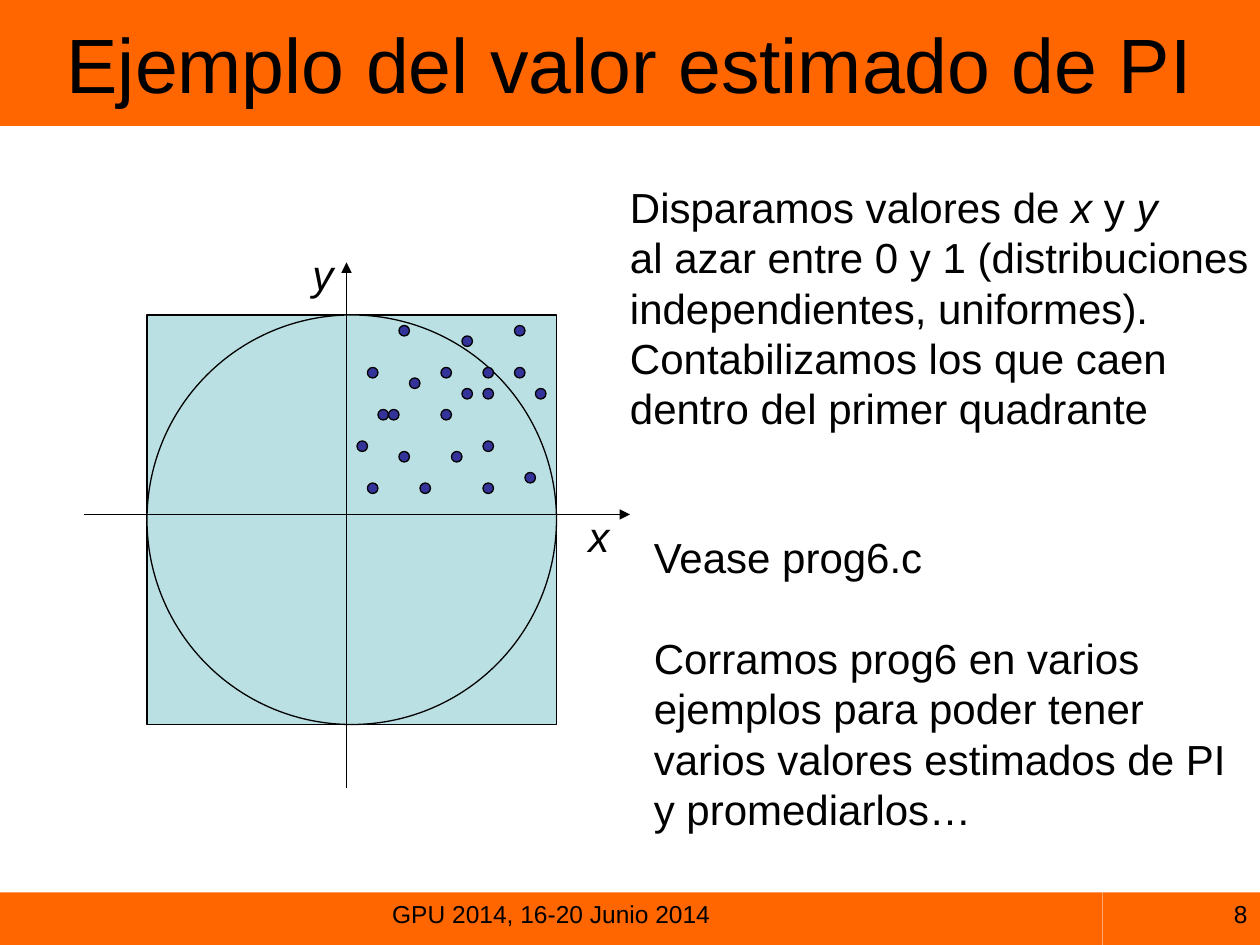
from lxml import etree
from pptx import Presentation
from pptx.dml.color import RGBColor
from pptx.enum import shapes, text
from pptx.oxml import ns
from pptx.util import Cm, Pt

ORANGE = RGBColor(0xFF, 0x66, 0x00)
BLACK = RGBColor(0x00, 0x00, 0x00)
AQUA = RGBColor(0xBB, 0xE0, 0xE3)
INDIGO = RGBColor(0x33, 0x33, 0x99)

FONT = "Arial"
BODY_LINE = Pt(28.8)
GRID_STEP = 2.54 / 12

SQUARE = (14, 30, 39, 39)
Y_AXIS = (33, 75, 33, 25)
X_AXIS = (8, 49, 60, 49)
SHOTS = [
    (40, 46), (42, 35), (51, 37), (44, 32), (44, 37), (36, 39), (46, 35), (37, 39),
    (38, 31), (46, 42), (50, 45), (35, 35), (34, 42), (46, 46), (38, 43), (35, 46),
    (49, 31), (49, 35), (42, 39), (43, 43), (39, 36), (46, 37),
]


def on_grid(*steps):
    return [Cm(step * GRID_STEP) for step in steps]


def in_cm(*lengths):
    return [Cm(length) for length in lengths]


def style_span(span, size, italic=False):
    span.font.name = FONT
    span.font.size = Pt(size)
    span.font.italic = italic
    span.font.color.rgb = BLACK


def fill_title(page, wording):
    title = page.shapes.title
    title.left, title.top, title.width, title.height = on_grid(0, 0, 120, 12)
    title.fill.solid()
    title.fill.fore_color.rgb = ORANGE
    frame = title.text_frame
    frame.text = wording
    frame.vertical_anchor = text.MSO_ANCHOR.MIDDLE
    frame.paragraphs[0].alignment = text.PP_ALIGN.CENTER
    style_span(frame.paragraphs[0].runs[0], 44)


def add_figure(page, kind, place, color, outlined=True):
    figure = page.shapes.add_shape(kind, *on_grid(*place))
    figure.shadow.inherit = False
    figure.fill.solid()
    figure.fill.fore_color.rgb = color
    if outlined:
        figure.line.color.rgb = BLACK
        figure.line.width = Pt(0.75)
    else:
        figure.line.fill.background()
    return figure


def add_footer(page, place, wording, alignment):
    band = add_figure(page, shapes.MSO_SHAPE.RECTANGLE, place, ORANGE, outlined=False)
    frame = band.text_frame
    frame.text = wording
    frame.vertical_anchor = text.MSO_ANCHOR.TOP
    frame.paragraphs[0].alignment = alignment
    style_span(frame.paragraphs[0].runs[0], 14)


def add_axis(page, ends):
    axis = page.shapes.add_connector(shapes.MSO_CONNECTOR.STRAIGHT, *on_grid(*ends))
    axis.line.color.rgb = BLACK
    axis.line.width = Pt(0.75)
    etree.SubElement(axis.line._get_or_add_ln(), ns.qn("a:tailEnd"), type="triangle")
    etree.SubElement(axis._element.spPr, ns.qn("a:effectLst"))


def add_text(page, place, paragraphs):
    box = page.shapes.add_textbox(*in_cm(*place))
    frame = box.text_frame
    frame.word_wrap = False
    for index, (gap, pieces) in enumerate(paragraphs):
        para = frame.paragraphs[0] if index == 0 else frame.add_paragraph()
        para.line_spacing = BODY_LINE
        para.space_before = gap
        for wording, italic in pieces:
            for number, line in enumerate(wording.split("\n")):
                if number:
                    para.add_line_break()
                if line:
                    span = para.add_run()
                    span.text = line
                    style_span(span, 24, italic)


def main():
    deck = Presentation()
    deck.slide_width, deck.slide_height = in_cm(25.4, 19.05)
    page = deck.slides.add_slide(deck.slide_layouts[5])

    add_footer(page, (0, 85, 105, 5), "GPU 2014, 16-20 Junio 2014", text.PP_ALIGN.CENTER)
    add_footer(page, (105, 85, 15, 5), "8", text.PP_ALIGN.RIGHT)
    fill_title(page, "Ejemplo del valor estimado de PI")

    for kind in (shapes.MSO_SHAPE.RECTANGLE, shapes.MSO_SHAPE.OVAL):
        add_figure(page, kind, SQUARE, AQUA)
    for ends in (Y_AXIS, X_AXIS):
        add_axis(page, ends)
    for column, row in SHOTS:
        add_figure(page, shapes.MSO_SHAPE.OVAL, (column, row, 1, 1), INDIGO)

    add_text(page, (11.61, 10.16, 0.91, 1.27), [(0, [("x", True)])])
    add_text(page, (6.05, 4.88, 0.91, 1.27), [(0, [("y", True)])])
    add_text(page, (12.45, 3.53, 12.98, 5.33), [(0, [
        ("Disparamos valores de ", False),
        ("x ", True),
        ("y ", False),
        ("y", True),
        ("\nal azar entre 0 y 1 (distribuciones\nindependientes, uniformes)."
         "\nContabilizamos los que caen\ndentro del primer quadrante", False),
    ])])
    add_text(page, (12.93, 10.59, 12.04, 6.35), [
        (0, [("Vease prog6.c", False)]),
        (BODY_LINE, [("Corramos prog6 en varios\nejemplos para poder tener"
                      "\nvarios valores estimados de PI", False)]),
        (0, [("y promediarlos…", False)]),
    ])
    deck.save("out.pptx")


if __name__ == "__main__":
    main()
